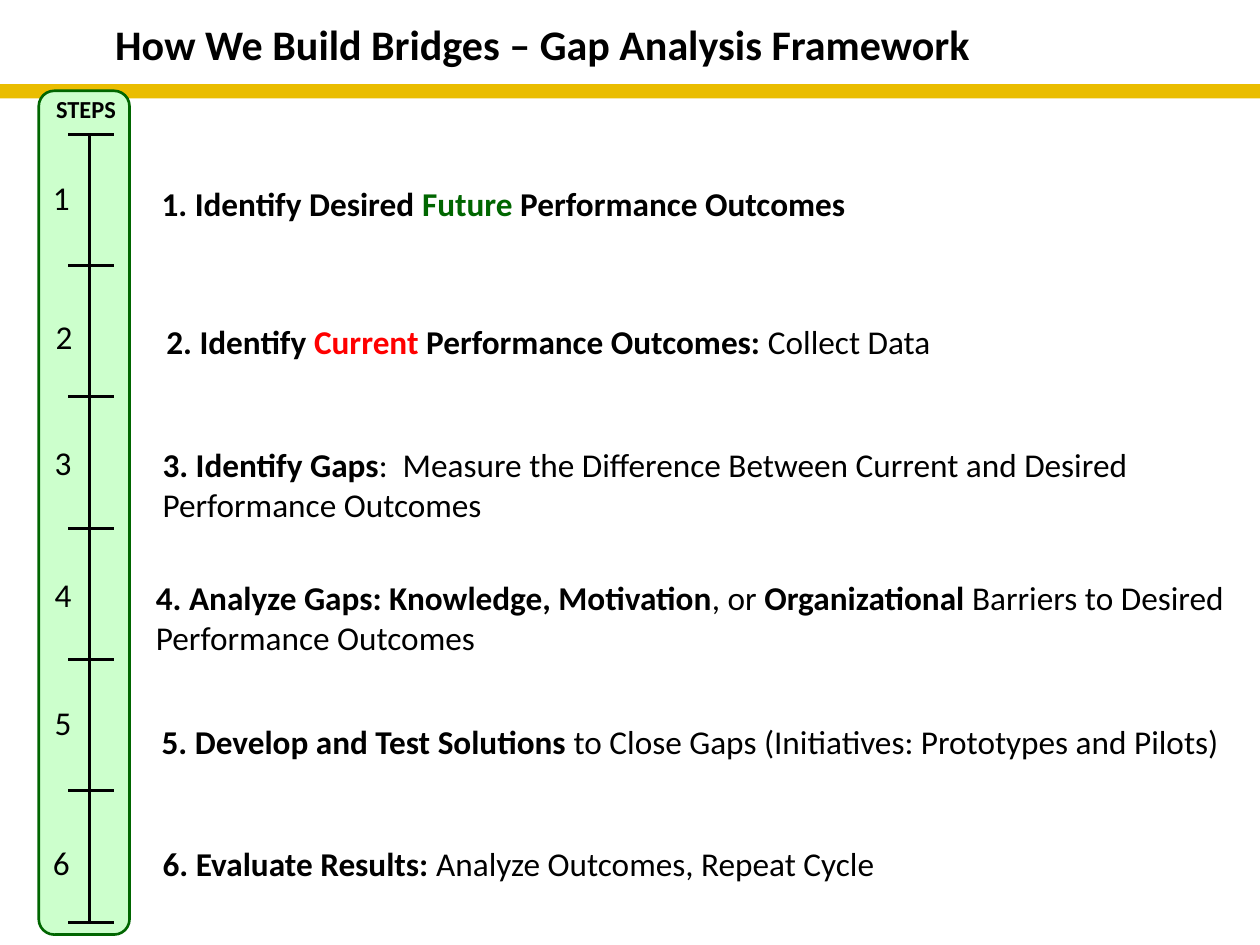
from pptx import Presentation
from pptx.dml.color import RGBColor
from pptx.enum.shapes import MSO_CONNECTOR, MSO_SHAPE
from pptx.enum.text import MSO_AUTO_SIZE, PP_ALIGN
from pptx.oxml.ns import qn
from pptx.util import Inches, Pt
from lxml import etree

RECT = MSO_SHAPE.RECTANGLE
ROUND = MSO_SHAPE.ROUNDED_RECTANGLE
LINE = MSO_CONNECTOR.STRAIGHT
GROW = MSO_AUTO_SIZE.SHAPE_TO_FIT_TEXT
LEFT, CENTER = PP_ALIGN.LEFT, PP_ALIGN.CENTER

BLACK, GREEN, RED = "000000", "006600", "FF0000"
MINT, GOLD = "CCFFCC", "EABD00"


def color(code):
    return RGBColor.from_string(code)


class Board:
    font = "Calibri"
    size = 25.3

    def __init__(self, slide):
        self.shapes = slide.shapes

    def block(self, kind, box, fill, edge=None):
        shape = self.shapes.add_shape(kind, *map(Inches, box))
        shape.shadow.inherit = False
        shape.fill.solid()
        shape.fill.fore_color.rgb = color(fill)
        if edge:
            shape.line.color.rgb = color(edge)
            shape.line.width = Pt(2)
        else:
            shape.line.fill.background()
        return shape

    def rule(self, *ends):
        line = self.shapes.add_connector(LINE, *map(Inches, ends))
        line.line.color.rgb = color(BLACK)
        line.line.width = Pt(2.25)
        etree.SubElement(line._element.spPr, qn("a:effectLst"))

    def text(self, box, runs, size=size, align=LEFT):
        frame = self.shapes.add_textbox(*map(Inches, box)).text_frame
        frame.word_wrap = True
        frame.auto_size = GROW
        para = frame.paragraphs[0]
        para.alignment = align
        for words, bold, tint in runs:
            run = para.add_run()
            run.text = words
            style = {"name": self.font, "size": Pt(size), "bold": bold}
            for key, value in style.items():
                setattr(run.font, key, value)
            run.font.color.rgb = color(tint)


def bold(words, tint=BLACK):
    return words, True, tint


def plain(words):
    return words, False, BLACK


STEPS = [
    (0.46, 1.82, (1.61, 1.89, 11.55, 0.53),
     [bold("1. Identify Desired "), bold("Future ", GREEN),
      bold("Performance Outcomes")]),
    (0.49, 3.29, (1.66, 3.35, 11.65, 0.53),
     [bold("2. Identify "), bold("Current ", RED),
      bold("Performance Outcomes: "), plain("Collect Data")]),
    (0.48, 4.63, (1.62, 4.65, 11.04, 0.95),
     [bold("3. Identify Gaps"),
      plain(":  Measure the Difference Between Current and Desired "
            "Performance Outcomes")]),
    (0.48, 6.02, (1.55, 6.05, 11.77, 0.95),
     [bold("4. Analyze Gaps: Knowledge, Motivation"), plain(", or "),
      bold("Organizational"),
      plain(" Barriers to Desired Performance Outcomes")]),
    (0.48, 7.38, (1.61, 7.58, 11.39, 0.53),
     [bold("5. Develop and Test Solutions "),
      plain("to Close Gaps (Initiatives: Prototypes and Pilots)")]),
    (0.46, 8.85, (1.62, 8.87, 10.88, 0.53),
     [bold("6. Evaluate Results: "),
      plain("Analyze Outcomes, Repeat Cycle")]),
]


def main():
    deck = Presentation()
    deck.slide_width = Inches(13.32)
    deck.slide_height = Inches(9.99)
    board = Board(deck.slides.add_slide(deck.slide_layouts[6]))

    board.block(RECT, (0, 0.89, 13.32, 0.15), GOLD)
    panel = board.block(ROUND, (0.41, 0.96, 0.96, 8.92), MINT, GREEN)
    panel.adjustments[0] = 0.17

    top, base = 1.42, 9.75
    board.rule(0.95, base, 0.95, top)
    gap = (base - top) / len(STEPS)
    for mark in range(len(STEPS) + 1):
        level = top + mark * gap
        board.rule(1.2, level, 0.72, level)

    board.text((0.41, 0.15, 10.66, 0.64),
               [bold("How We Build Bridges – Gap Analysis Framework")],
               32, CENTER)
    board.text((0.08, 0.95, 1.66, 0.41), [bold("STEPS")], 18.6, CENTER)
    for count, (left, level, box, runs) in enumerate(STEPS, 1):
        board.text((left, level, 0.48, 0.53), [plain(str(count))])
        board.text(box, runs)

    deck.save("out.pptx")


if __name__ == "__main__":
    main()
